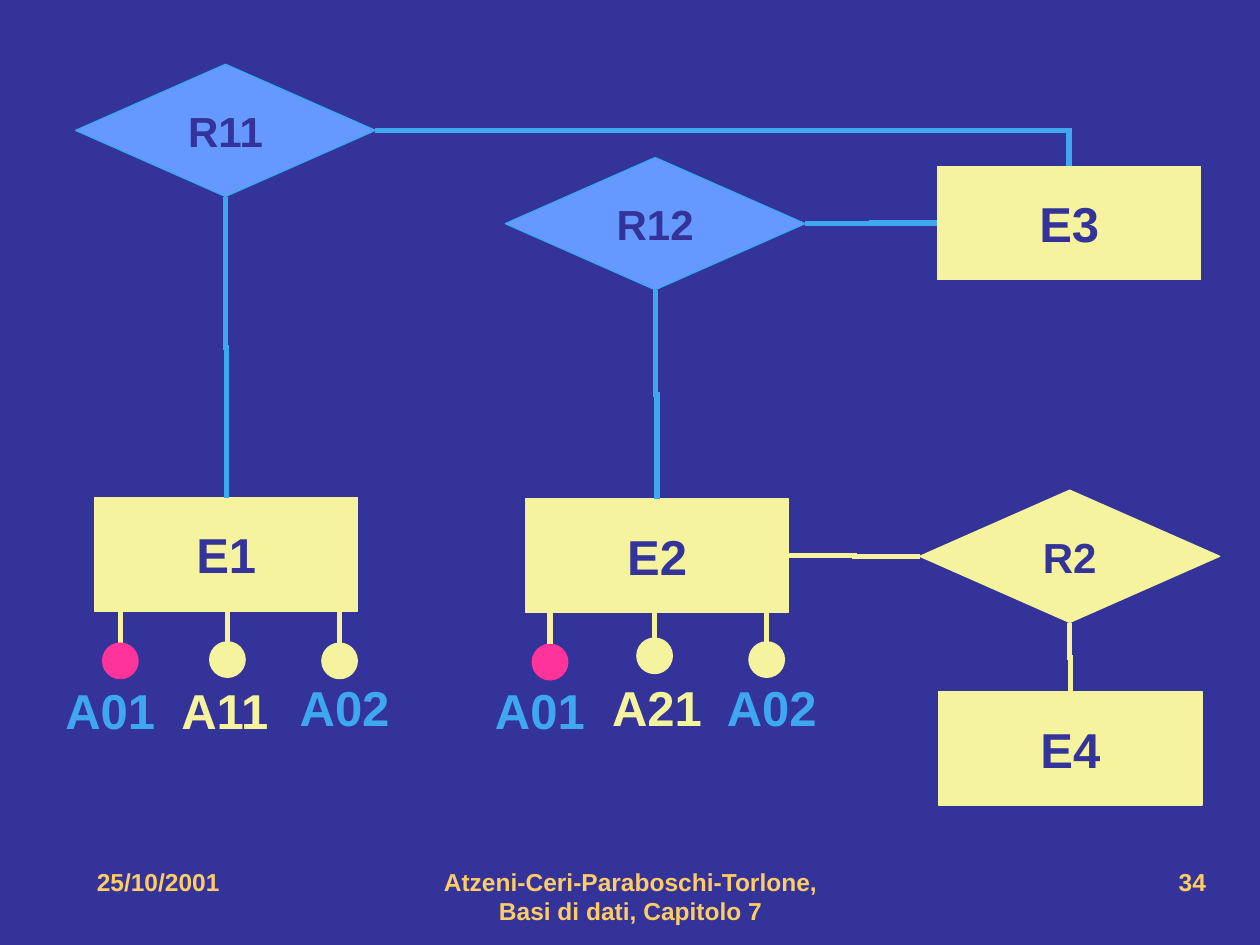
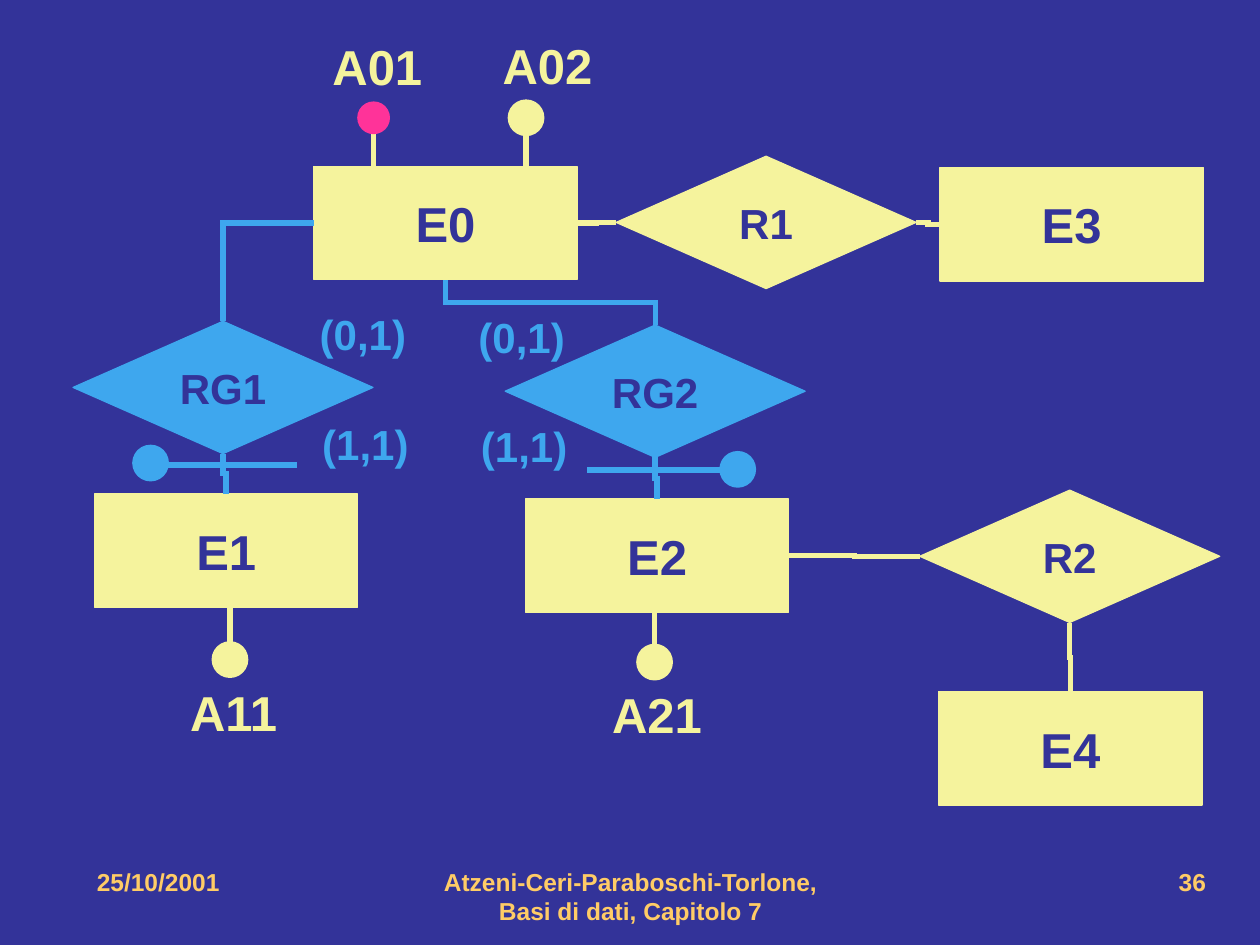
from dataclasses import dataclass

from lxml import etree
from pptx import Presentation
from pptx import util as u
from pptx.dml import color as c
from pptx.enum import shapes, text
from pptx.oxml import ns

TOP, LEFT, BOTTOM, RIGHT = range(4)


@dataclass(frozen=True)
class Theme:
    navy: str = "333399"
    cream: str = "F5F39D"
    sky: str = "3EA7EE"
    blue: str = "6699FF"
    pink: str = "FF3399"
    gold: str = "FFCC66"
    font: str = "Arial"
    large: int = 28
    medium: int = 24
    small: int = 14
    thick: float = 3
    thin: float = 0.75
    dot: float = 0.25


THEME = Theme()


@dataclass(frozen=True)
class Node:
    name: str
    left: float
    top: float
    fill: str = THEME.cream
    edge: str = THEME.cream


class Entity(Node):
    preset = shapes.MSO_SHAPE.RECTANGLE
    width, height, size = 2.09, 0.9, THEME.large


class Relationship(Node):
    preset = shapes.MSO_SHAPE.DIAMOND
    width, height, size = 2.38, 1.05, THEME.medium


@dataclass(frozen=True)
class Link:
    start: str
    start_side: int
    end: str
    end_side: int
    colour: str = THEME.sky


@dataclass(frozen=True)
class Attribute:
    name: str
    label_left: float
    label_top: float
    dot_left: float
    dot_top: float
    stem_top: float
    stem_bottom: float
    label_colour: str = THEME.cream
    dot_colour: str = THEME.cream
    dot_edge: float = THEME.thick


@dataclass(frozen=True)
class Identifier:
    dot_left: float
    dot_top: float
    bar_left: float
    bar_right: float
    bar_top: float


@dataclass(frozen=True)
class Cardinality:
    name: str
    left: float
    top: float


@dataclass(frozen=True)
class Diagram:
    number: str
    nodes: tuple
    links: tuple
    attributes: tuple
    identifiers: tuple = ()
    cardinalities: tuple = ()


SHARED_NODES = (
    Entity("E2", 4.17, 3.96),
    Relationship("R2", 7.3, 3.89),
    Entity("E4", 7.45, 5.49),
)
SHARED_LINKS = (
    Link("E2", RIGHT, "R2", LEFT, THEME.cream),
    Link("R2", BOTTOM, "E4", TOP, THEME.cream),
)

DIAGRAMS = (
    Diagram(
        "34",
        SHARED_NODES + (
            Entity("E3", 7.44, 1.32),
            Entity("E1", 0.75, 3.95),
            Relationship("R12", 4.01, 1.25, THEME.blue, THEME.sky),
            Relationship("R11", 0.6, 0.51, THEME.blue, THEME.sky),
        ),
        SHARED_LINKS + (
            Link("E3", LEFT, "R12", RIGHT),
            Link("R12", BOTTOM, "E2", TOP),
            Link("E3", TOP, "R11", RIGHT),
            Link("R11", BOTTOM, "E1", TOP),
        ),
        (
            Attribute("A11", 1.34, 5.35, 1.68, 5.11, 4.78, 5.19),
            Attribute("A21", 4.76, 5.33, 5.07, 5.08, 4.72, 5.13),
            Attribute("A01", 0.42, 5.35, 0.83, 5.12, 4.4, 5.15, THEME.sky, THEME.pink),
            Attribute("A02", 2.28, 5.33, 2.57, 5.12, 4.4, 5.15, THEME.sky),
            Attribute("A01", 3.83, 5.35, 4.24, 5.13, 4.41, 5.16, THEME.sky, THEME.pink),
            Attribute("A02", 5.67, 5.33, 5.96, 5.11, 4.4, 5.15, THEME.sky),
        ),
    ),
    Diagram(
        "36",
        SHARED_NODES + (
            Relationship("RG2", 4.01, 2.58, THEME.sky, THEME.sky),
            Relationship("RG1", 0.58, 2.55, THEME.sky, THEME.sky),
            Entity("E0", 2.49, 1.32),
            Entity("E1", 0.75, 3.92),
            Relationship("R1", 4.89, 1.24),
            Entity("E3", 7.46, 1.33),
        ),
        SHARED_LINKS + (
            Link("E1", TOP, "RG1", BOTTOM),
            Link("E2", TOP, "RG2", BOTTOM),
            Link("RG1", TOP, "E0", LEFT),
            Link("RG2", TOP, "E0", BOTTOM),
            Link("E0", RIGHT, "R1", LEFT, THEME.cream),
            Link("R1", RIGHT, "E3", LEFT, THEME.cream),
        ),
        (
            Attribute("A01", 2.54, 0.24, 2.84, 0.81, 1.06, 1.81,
                      dot_colour=THEME.pink, dot_edge=THEME.thin),
            Attribute("A02", 3.89, 0.23, 4.05, 0.81, 1.05, 1.8),
            Attribute("A11", 1.41, 5.37, 1.7, 5.11, 4.78, 5.19),
            Attribute("A21", 4.76, 5.38, 5.07, 5.13, 4.76, 5.18),
        ),
        (
            Identifier(5.73, 3.6, 4.66, 5.83, 3.73),
            Identifier(1.07, 3.55, 1.19, 2.36, 3.69),
        ),
        (
            Cardinality("(1,1)", 3.7, 3.29),
            Cardinality("(0,1)", 3.68, 2.42),
            Cardinality("(1,1)", 2.44, 3.27),
            Cardinality("(0,1)", 2.42, 2.4),
        ),
    ),
)


def rgb(value: str) -> c.RGBColor:
    return c.RGBColor.from_string(value)


def apply(target, **formats) -> None:
    for name, value in formats.items():
        setattr(target, name, value)


def write(box, words: str, size: int, colour: str, align=text.PP_ALIGN.LEFT, **frame) -> None:
    apply(box.text_frame, **frame)
    para = box.text_frame.paragraphs[0]
    para.alignment = align
    span = para.add_run()
    span.text = words
    apply(span.font, name=THEME.font, size=u.Pt(size), bold=True)
    span.font.color.rgb = rgb(colour)


def add_label(page, words: str, at: tuple, size: int, colour: str, **formats) -> None:
    box = page.shapes.add_textbox(*map(u.Inches, at))
    write(box, words, size, colour, **formats)


def add_solid(page, preset, at: tuple, fill: str, edge: str, weight: float):
    shape = page.shapes.add_shape(preset, *map(u.Inches, at))
    shape.shadow.inherit = False
    shape.fill.solid()
    shape.fill.fore_color.rgb = rgb(fill)
    shape.line.color.rgb = rgb(edge)
    shape.line.width = u.Pt(weight)
    return shape


def add_dot(page, left: float, top: float, colour: str, weight: float) -> None:
    at = (left, top, THEME.dot, THEME.dot)
    add_solid(page, shapes.MSO_SHAPE.OVAL, at, colour, colour, weight)


def add_line(page, kind, ends: tuple, colour: str):
    line = page.shapes.add_connector(kind, *map(u.Inches, ends))
    line.line.color.rgb = rgb(colour)
    line.line.width = u.Pt(THEME.thick)
    stroke = line._element.spPr.find(ns.qn("a:ln"))
    etree.SubElement(stroke, ns.qn("a:miter")).set("lim", "800000")
    etree.SubElement(line._element.spPr, ns.qn("a:effectLst"))
    return line


def add_node(page, node: Node):
    at = (node.left, node.top, node.width, node.height)
    shape = add_solid(page, node.preset, at, node.fill, node.edge, THEME.thin)
    write(shape, node.name, node.size, THEME.navy, text.PP_ALIGN.CENTER,
          word_wrap=False, vertical_anchor=text.MSO_ANCHOR.MIDDLE)
    return shape


def add_link(page, link: Link, drawn: dict) -> None:
    line = add_line(page, shapes.MSO_CONNECTOR.ELBOW, (0, 0, 1, 1), link.colour)
    line.begin_connect(drawn[link.start], link.start_side)
    line.end_connect(drawn[link.end], link.end_side)
    across, down = line.end_x - line.begin_x, line.end_y - line.begin_y
    middle_x, middle_y = (line.begin_x + line.end_x) // 2, (line.begin_y + line.end_y) // 2
    upright = link.start_side in (TOP, BOTTOM)
    width, height = (abs(down), abs(across)) if upright else (abs(across), abs(down))
    apply(line, left=middle_x - width // 2, top=middle_y - height // 2,
          width=width, height=height)
    flips = (down < 0, across > 0) if upright else (across < 0, down < 0)
    frame = line._element.spPr.find(ns.qn("a:xfrm"))
    frame.set("rot", "5400000" if upright else "0")
    for name, flipped in zip(("flipH", "flipV"), flips):
        frame.set(name, str(int(flipped)))
    corner = (link.start_side + link.end_side) % 2
    preset = "bentConnector2" if corner else "bentConnector3"
    line._element.spPr.find(ns.qn("a:prstGeom")).set("prst", preset)


def add_attribute(page, item: Attribute) -> None:
    middle = item.dot_left + THEME.dot / 2
    add_line(page, shapes.MSO_CONNECTOR.STRAIGHT,
             (middle, item.stem_top, middle, item.stem_bottom), THEME.cream)
    add_dot(page, item.dot_left, item.dot_top, item.dot_colour, item.dot_edge)
    add_label(page, item.name, (item.label_left, item.label_top, 0.91, 0.57),
              THEME.large, item.label_colour, word_wrap=False,
              auto_size=text.MSO_AUTO_SIZE.SHAPE_TO_FIT_TEXT)


def add_identifier(page, item: Identifier) -> None:
    add_line(page, shapes.MSO_CONNECTOR.STRAIGHT,
             (item.bar_left, item.bar_top, item.bar_right, item.bar_top), THEME.sky)
    add_dot(page, item.dot_left, item.dot_top, THEME.sky, THEME.thick)


def add_footer(page, number: str) -> None:
    credit = "Atzeni-Ceri-Paraboschi-Torlone, Basi di dati, Capitolo 7"
    for words, left, width, align in (
        (credit, 3.42, 3.17, text.PP_ALIGN.CENTER),
        (number, 7.17, 2.5, text.PP_ALIGN.RIGHT),
        ("25/10/2001", 0.67, 2.17, text.PP_ALIGN.LEFT),
    ):
        add_label(page, words, (left, 6.83, width, 0.5), THEME.small, THEME.gold,
                  align=align, word_wrap=True)


def add_diagram(deck, diagram: Diagram) -> None:
    page = deck.slides.add_slide(deck.slide_layouts[6])
    drawn = {node.name: add_node(page, node) for node in diagram.nodes}
    for link in diagram.links:
        add_link(page, link, drawn)
    for item in diagram.attributes:
        add_attribute(page, item)
    for item in diagram.identifiers:
        add_identifier(page, item)
    for item in diagram.cardinalities:
        add_label(page, item.name, (item.left, item.top, 0.92, 0.5), THEME.medium, THEME.sky,
                  align=text.PP_ALIGN.CENTER, word_wrap=False,
                  vertical_anchor=text.MSO_ANCHOR.MIDDLE,
                  auto_size=text.MSO_AUTO_SIZE.SHAPE_TO_FIT_TEXT)
    add_footer(page, diagram.number)


def main() -> None:
    deck = Presentation()
    apply(deck, slide_width=u.Inches(10), slide_height=u.Inches(7.5))
    backdrop = deck.slide_master.background.fill
    backdrop.solid()
    backdrop.fore_color.rgb = rgb(THEME.navy)
    for diagram in DIAGRAMS:
        add_diagram(deck, diagram)
    deck.save("out.pptx")


if __name__ == "__main__":
    main()
